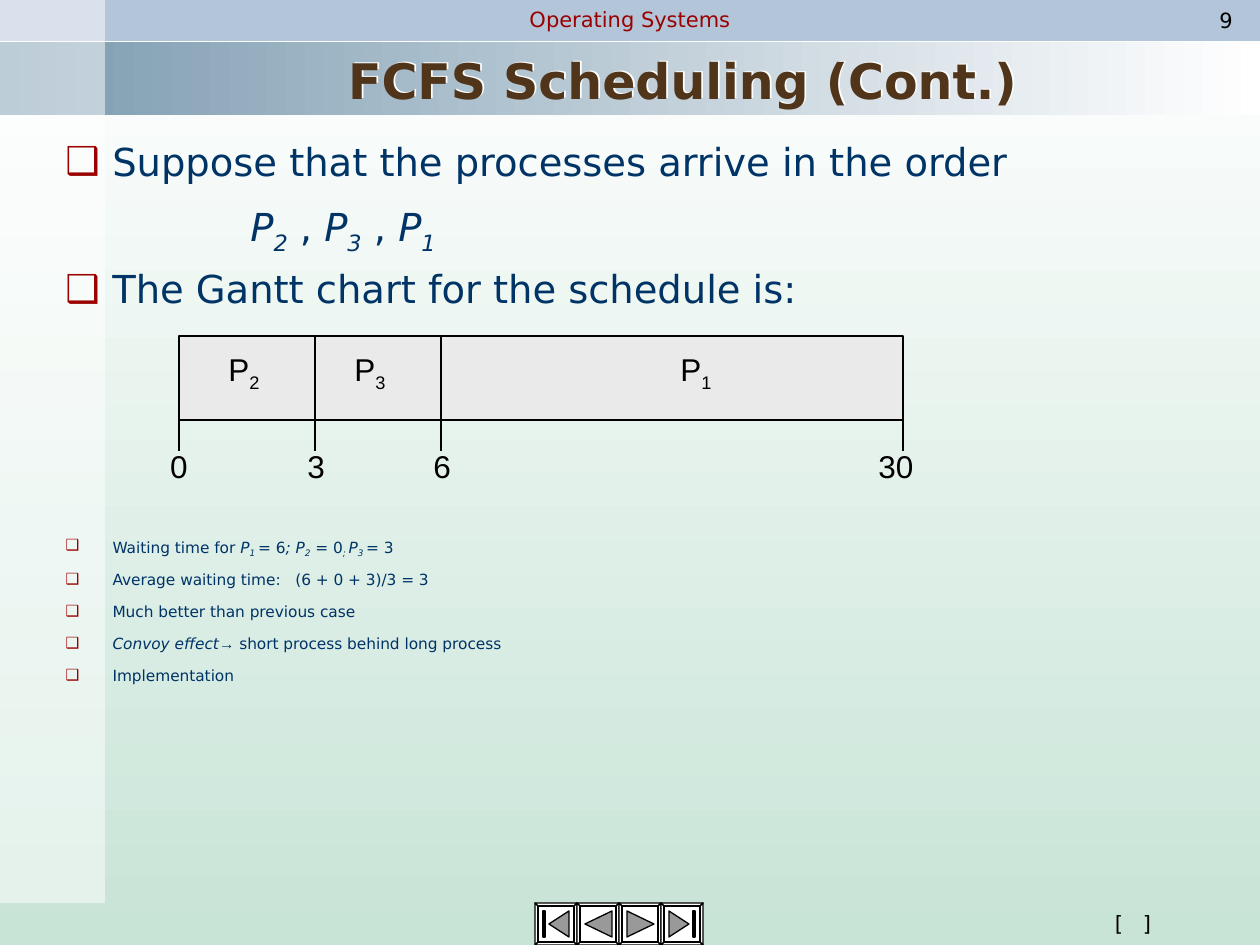
import pptx
import pptx.dml.color
import pptx.enum.shapes
import pptx.enum.text
import pptx.oxml
import pptx.oxml.ns
import pptx.util

theme = {
    "black": "000000", "white": "FFFFFF", "red": "990000", "bullet": "9A0000",
    "navy": "003366", "brown": "50351A", "band": "B3C5D9", "steel": "7C9BB0",
    "mint": "C8E4D7", "bar": "EAEAEA", "icon": "999999",
    "font": "DejaVu Sans", "chart_font": "Arial",
    "title": 28, "large": 22, "chart": 18, "header": 12, "small": 8.8,
}
color = {name: pptx.dml.color.RGBColor.from_string(value)
         for name, value in theme.items() if isinstance(value, str) and len(value) == 6}
namespace = pptx.oxml.ns.nsdecls("a")
align = pptx.enum.text.PP_ALIGN
anchor = pptx.enum.text.MSO_ANCHOR
rectangle = pptx.enum.shapes.MSO_SHAPE.RECTANGLE
rounded = pptx.enum.shapes.MSO_SHAPE.ROUNDED_RECTANGLE


def px(*lengths):
    """Turn pixels (126 to the inch) into EMU."""
    return [pptx.util.Emu(round(length * 914400 / 126)) for length in lengths]


def write(paragraph, runs, size, ink, font=theme["font"], bold=None):
    """Add (text, marks) runs; marks hold i for italic and s for subscript."""
    for text, marks in runs:
        run = paragraph.add_run()
        run.text = text
        values = {"size": pptx.util.Pt(theme[size]), "name": font, "bold": bold,
                  "italic": "i" in marks}
        for name, value in values.items():
            setattr(run.font, name, value)
        run.font.color.rgb = color[ink]
        if "s" in marks:
            run._r.get_or_add_rPr().set("baseline", "-25000")


presentation = pptx.Presentation()
presentation.slide_width, presentation.slide_height = px(1260, 945)
slide = presentation.slides.add_slide(presentation.slide_layouts[1])
shapes = slide.shapes
title, body = shapes.title, slide.placeholders[1]

# Background, header bands and the pale strip at the left
header = shapes.add_shape(rectangle, *px(0, 0, 1260, 40))
title_band = shapes.add_shape(rectangle, *px(0, 42, 1260, 73))
strip = shapes.add_shape(rectangle, *px(0, 0, 105, 903))
for fill, angle, stops in ((slide.background.fill, 270, ("white", "mint")),
                           (title_band.fill, 0, ("steel", "white"))):
    fill.gradient()
    fill.gradient_angle = angle
    for stop, name in zip(fill.gradient_stops, stops):
        stop.color.rgb = color[name]
for shape, name in ((header, "band"), (strip, "white")):
    shape.fill.solid()
    shape.fill.fore_color.rgb = color[name]
for shape in (header, title_band, strip):
    shape.shadow.inherit = False
    shape.line.fill.background()
header.line.color.rgb = color["band"]
header.line.width = pptx.util.Pt(0.75)
strip_color = strip.fill._xPr.find(".//" + pptx.oxml.ns.qn("a:srgbClr"))
strip_color.append(pptx.oxml.parse_xml(f'<a:alpha {namespace} val="50000"/>'))

# Navigation buttons: a bevelled frame and an icon, each of several outlines
square = [(0, 0), (42, 0), (42, 42), (0, 42)]
face = [(3, 3), (39, 3), (39, 39), (3, 39)]
bevels = [[square[i], square[(i + 1) % 4], face[(i + 1) % 4], face[i]] for i in range(4)]
icons = [
    [[(14, 21), (34, 8), (34, 34)], [(8, 8), (10, 8), (10, 34), (8, 34)]],
    [[(8, 21), (35, 8), (35, 34)]],
    [[(8, 8), (35, 21), (8, 34)]],
    [[(28, 21), (8, 34), (8, 8)], [(32, 8), (34, 8), (34, 34), (32, 34)]],
]
for index, icon in enumerate(icons):
    left, top = 535 + 42 * index, 903
    for outlines, name in (([face, *bevels], "white"), (icon, "icon")):
        contours = [[px(left + x, top + y) for x, y in points] for points in outlines]
        builder = shapes.build_freeform(*contours[0][0])
        for corners in contours:
            if corners is not contours[0]:
                builder.move_to(*corners[0])
            builder.add_line_segments(corners[1:], close=True)
        shape = builder.convert_to_shape()
        shape.shadow.inherit = False
        shape.fill.solid()
        shape.fill.fore_color.rgb = color[name]
        shape.line.color.rgb = color["black"]
        shape.line.width = pptx.util.Pt(0.75)

# Gantt chart
chart_left, chart_right, bar_top, bar_bottom, tick_bottom = 179, 903, 336, 420, 451
bar = shapes.add_shape(rectangle, *px(chart_left, bar_top, chart_right - chart_left,
                                      bar_bottom - bar_top))
bar.shadow.inherit = False
bar.fill.solid()
bar.fill.fore_color.rgb = color["bar"]
bar.line.color.rgb = color["black"]
bar.line.width = pptx.util.Pt(0.75)
ticks = [(x, bar_bottom, tick_bottom) for x in (chart_left, 315, 441, chart_right)]
dividers = [(x, bar_top, bar_bottom) for x in (315, 441)]
for x, start, end in ticks + dividers:
    line = shapes.add_connector(pptx.enum.shapes.MSO_CONNECTOR.STRAIGHT,
                                *px(x, start, x, end))
    line.line.color.rgb = color["black"]
    line.line.width = pptx.util.Pt(0.75)
    line._element.spPr.append(pptx.oxml.parse_xml(f"<a:effectLst {namespace}/>"))

# Centred labels: centre x, top, width, height, runs, size, ink, font
labels = [
    (630, 0, 378, 38, [("Operating Systems", "")], "header", "red", theme["font"]),
    (1226, 0, 63, 40, [("9", "")], "header", "black", theme["font"]),
    (1133, 903, 250, 40, [("[   ]", "")], "header", "black", theme["font"]),
]
for x, number in ((244, "2"), (370, "3"), (696, "1")):
    labels.append((x, 344, 57, 55, [("P", ""), (number, "s")], "chart", "black",
                   theme["chart_font"]))
for x, time, width in ((179, "0", 43), (316, "3", 43), (442, "6", 43), (896, "30", 60)):
    labels.append((x, 441, width, 50, [(time, "")], "chart", "black",
                   theme["chart_font"]))
for center, top, width, height, runs, size, ink, font in labels:
    place = px(center - width / 2, top, width, height)
    if size == "header":
        shape = shapes.add_shape(rounded, *place)
        shape.adjustments[0] = 0.47
        shape.shadow.inherit = False
        shape.fill.background()
        shape.line.fill.background()
    else:
        shape = shapes.add_textbox(*place)
    frame = shape.text_frame
    frame.word_wrap = False
    frame.vertical_anchor = anchor.MIDDLE
    frame.paragraphs[0].alignment = align.CENTER
    write(frame.paragraphs[0], runs, size, ink, font)

# Title, in front of its band, with a white shadow
order = [(title, (105, 44, 1155, 72), anchor.BOTTOM),
         (body, (53, 535, 1166, 147), anchor.TOP),
         (shapes.add_textbox(0, 0, 0, 0), (53, 137, 1166, 147), anchor.TOP)]
for shape, place, vertical in order:
    shape.left, shape.top, shape.width, shape.height = px(*place)
    values = {"word_wrap": True, "vertical_anchor": vertical,
              "auto_size": pptx.enum.text.MSO_AUTO_SIZE.NONE}
    for name, value in values.items():
        setattr(shape.text_frame, name, value)
    shapes._spTree.append(shape._element)
title.text_frame.paragraphs[0].alignment = align.CENTER
write(title.text_frame.paragraphs[0], [("FCFS Scheduling (Cont.)", "")],
      "title", "brown", bold=True)
title._element.spPr.append(pptx.oxml.parse_xml(
    f'<a:effectLst {namespace}><a:outerShdw dist="18000" dir="18900000">'
    f'<a:srgbClr val="{theme["white"]}"/></a:outerShdw></a:effectLst>'))

# Bulleted lists; the process order is indented without a bullet
process_order = [("P", "i"), ("2", "is"), (" , ", ""), ("P", "i"), ("3", "is"),
                 (" , ", ""), ("P", "i"), ("1", "is")]
introduction = [
    [("Suppose that the processes arrive in the order", "")],
    process_order,
    [("The Gantt chart for the schedule is:", "")],
]
results = [
    [("Waiting time for ", ""), ("P", "i"), ("1 ", "is"), ("=", "i"), (" 6", ""),
     ("; P", "i"), ("2", "is"), (" = 0", ""), ("; ", "is"), ("P", "i"), ("3 ", "is"),
     ("= ", "i"), ("3", "")],
    [("Average waiting time:   (6 + 0 + 3)/3 = 3", "")],
    [("Much better than previous case", "")],
    [("Convoy effect", "i"), ("→", "i"), (" short process behind long process", "")],
    [("Implementation", "")],
]
for shape, items, size, spacing in ((order[2][0], introduction, "large", 0.9),
                                    (body, results, "small", 0.7)):
    frame = shape.text_frame
    for index, runs in enumerate(items):
        paragraph = frame.add_paragraph() if index else frame.paragraphs[0]
        values = {"line_spacing": spacing, "space_after": pptx.util.Pt(5.5),
                  "space_before": pptx.util.Pt(5.5 if index else 0),
                  "alignment": align.LEFT}
        for name, value in values.items():
            setattr(paragraph, name, value)
        properties = paragraph._p.get_or_add_pPr()
        bulleted = runs is not process_order
        margin, indent = px(47, -47) if bulleted else px(185, 0)
        properties.set("marL", str(margin))
        properties.set("indent", str(indent))
        bullet = [f'<a:buClr {namespace}><a:srgbClr val="{theme["bullet"]}"/></a:buClr>',
                  f'<a:buFont {namespace} typeface="{theme["font"]}"/>',
                  f'<a:buChar {namespace} char="❑"/>']
        for element in bullet if bulleted else [f"<a:buNone {namespace}/>"]:
            properties.append(pptx.oxml.parse_xml(element))
        for text, marks in runs:
            font = theme["chart_font"] if text == "→" else theme["font"]
            write(paragraph, [(text, marks)], size, "navy", font)

presentation.save("out.pptx")
